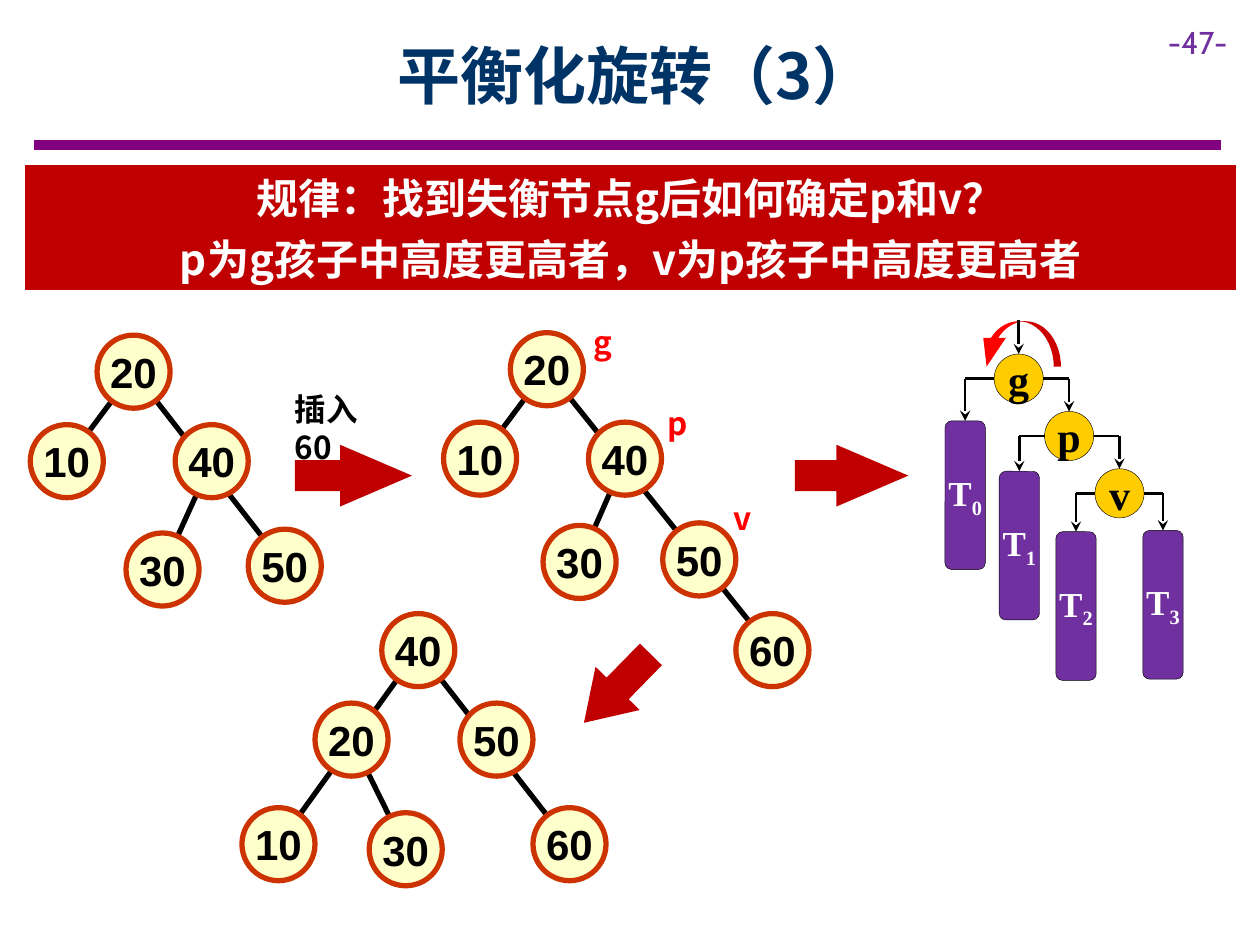
from lxml.etree import SubElement
from pptx import Presentation
from pptx.dml.color import RGBColor
from pptx.enum.shapes import MSO_CONNECTOR, MSO_SHAPE
from pptx.enum.text import MSO_ANCHOR, PP_ALIGN
from pptx.oxml.ns import qn
from pptx.util import Inches, Pt

BLACK = RGBColor(0x00, 0x00, 0x00)
WHITE = RGBColor(0xFF, 0xFF, 0xFF)
NAVY = RGBColor(0x00, 0x33, 0x66)
PURPLE = RGBColor(0x80, 0x00, 0x80)
VIOLET = RGBColor(0x70, 0x30, 0xA0)
CRIMSON = RGBColor(0xC0, 0x00, 0x00)
RED = RGBColor(0xFF, 0x00, 0x00)
CREAM = RGBColor(0xFF, 0xFF, 0xCC)
RUST = RGBColor(0xCC, 0x33, 0x00)
GOLD = RGBColor(0xFF, 0xCC, 0x00)

SANS = "Noto Sans CJK SC"
SERIF = "Times New Roman"
LINE_HEIGHT = 1.22
NODE = 0.58
ROTATED_NODE = 0.39


def add_run(paragraph, text, size, font, color, bold=True, baseline=None):
    run = paragraph.add_run()
    run.text = text
    run.font.size = Pt(size)
    run.font.name = font
    run.font.bold = bold
    run.font.color.rgb = color
    properties = run._r.get_or_add_rPr()
    SubElement(properties, qn("a:ea")).set("typeface", font)
    if baseline is not None:
        properties.set("baseline", str(baseline))


def set_insets(frame, horizontal, vertical):
    frame.margin_left = frame.margin_right = Inches(horizontal)
    frame.margin_top = frame.margin_bottom = Inches(vertical)


def add_block(slide, kind, box, fill, border=None, border_width=0, adjustments=()):
    block = slide.shapes.add_shape(kind, *map(Inches, box))
    block.shadow.inherit = False
    block.fill.solid()
    block.fill.fore_color.rgb = fill
    if border is None:
        block.line.fill.background()
    else:
        block.line.color.rgb = border
        block.line.width = Pt(border_width)
    for index, value in enumerate(adjustments):
        block.adjustments[index] = value
    return block


def add_line(slide, start, end, color=BLACK, width=3, arrow=False):
    line = slide.shapes.add_connector(
        MSO_CONNECTOR.STRAIGHT, *map(Inches, (*start, *end)))
    line.line.color.rgb = color
    line.line.width = Pt(width)
    if arrow:
        SubElement(line.line._get_or_add_ln(), qn("a:tailEnd")).set("type", "stealth")
    SubElement(line._element.spPr, qn("a:effectLst"))
    return line


def add_label(slide, box, text, color, wrap=False):
    label = slide.shapes.add_textbox(*map(Inches, box))
    frame = label.text_frame
    frame.word_wrap = wrap
    if wrap:
        frame.margin_right = Inches(0.25)
    paragraph = frame.paragraphs[0]
    paragraph.line_spacing = Pt(18 * LINE_HEIGHT)
    add_run(paragraph, text, 18, SANS, color)


def add_header(slide, box):
    left, top, width, height = box
    title = slide.shapes.title
    title.left, title.top = Inches(left + 0.63), Inches(top)
    title.width, title.height = Inches(8.31), Inches(1)
    title.text_frame.vertical_anchor = MSO_ANCHOR.MIDDLE
    paragraph = title.text_frame.paragraphs[0]
    paragraph.alignment = PP_ALIGN.CENTER
    add_run(paragraph, "平衡化旋转（3）", 36, SANS, NAVY)

    page = slide.shapes.add_textbox(
        Inches(left + 8.9), Inches(top + 0.04), Inches(0.83), Inches(0.4))
    add_run(page.text_frame.paragraphs[0], "-47-", 18, "Cabin", VIOLET, bold=False)
    rule_y = top + height
    add_line(slide, (left, rule_y), (left + width, rule_y), PURPLE, 6)


def add_banner(slide, box, lines):
    frame = add_block(slide, MSO_SHAPE.RECTANGLE, box, CRIMSON).text_frame
    frame.word_wrap = True
    frame.vertical_anchor = MSO_ANCHOR.TOP
    for index, text in enumerate(lines):
        paragraph = frame.add_paragraph() if index else frame.paragraphs[0]
        paragraph.alignment = PP_ALIGN.CENTER
        paragraph.line_spacing = Pt(24 * LINE_HEIGHT)
        paragraph.space_after = Pt(6)
        add_run(paragraph, text, 24, SANS, WHITE)


def add_tree(slide, origin, nodes, edges):
    """Draw a search tree; nodes maps each key to its offset from origin."""
    corners = {key: (origin[0] + x, origin[1] + y) for key, (x, y) in nodes.items()}
    centers = {key: (x + NODE / 2, y + NODE / 2) for key, (x, y) in corners.items()}
    for upper, lower in edges:
        add_line(slide, centers[upper], centers[lower])
    for key, corner in corners.items():
        node = add_block(slide, MSO_SHAPE.OVAL, (*corner, NODE, NODE), CREAM, RUST, 3)
        frame = node.text_frame
        frame.word_wrap = False
        frame.vertical_anchor = MSO_ANCHOR.MIDDLE
        set_insets(frame, 0, 0)
        frame.paragraphs[0].alignment = PP_ALIGN.CENTER
        add_run(frame.paragraphs[0], str(key), 24, "Arial", BLACK)


def add_rounded(slide, box, fill, adjustments=()):
    """Add a rounded box and return it with its paragraph."""
    block = add_block(slide, MSO_SHAPE.ROUNDED_RECTANGLE, box, fill, BLACK, 0.25,
                      adjustments)
    frame = block.text_frame
    frame.word_wrap = True
    frame.vertical_anchor = MSO_ANCHOR.MIDDLE
    set_insets(frame, 0, 0.1)
    frame.paragraphs[0].alignment = PP_ALIGN.CENTER
    return block, frame.paragraphs[0]


def add_branch(slide, parent, side, child):
    """Run sideways from the parent, then down to the top of the child."""
    start_x = parent.left + (parent.width if side == 3 else 0)
    points = [(start_x.inches if hasattr(start_x, "inches") else start_x / Inches(1)),
              (parent.top + parent.height / 2) / Inches(1),
              (child.left + child.width / 2) / Inches(1),
              child.top / Inches(1)]
    start_x, bend_y, bend_x, end_y = points
    across = add_line(slide, (start_x, bend_y), (bend_x, bend_y), width=1.5)
    across.begin_connect(parent, side)
    down = add_line(slide, (bend_x, bend_y), (bend_x, end_y), width=1.5, arrow=True)
    down.end_connect(child, 0)


def add_rotation(slide, origin):
    """Draw the g-p-v chain with its subtrees and the left-turn arrow."""
    left, top = origin
    chain = []
    for index, name in enumerate("gpv"):
        box = (left + 0.39 + 0.4 * index, top + 0.42 + 0.455 * index,
               ROTATED_NODE, ROTATED_NODE)
        node, paragraph = add_rounded(slide, box, GOLD, [0.5])
        add_run(paragraph, name, 24, SERIF, BLACK)
        chain.append(node)

    subtrees = []
    for index, (x, y) in enumerate([(0, 0.95), (0.43, 1.35), (0.88, 1.83), (1.57, 1.82)]):
        subtree, paragraph = add_rounded(slide, (left + x, top + y, 0.32, 1.18), VIOLET)
        add_run(paragraph, "T", 20, SERIF, WHITE)
        add_run(paragraph, str(index), 20, SERIF, WHITE, baseline=-25000)
        subtrees.append(subtree)

    right_children = chain[1:] + subtrees[3:]
    for node, left_child, right_child in zip(chain, subtrees, right_children):
        add_branch(slide, node, 1, left_child)
        add_branch(slide, node, 3, right_child)

    turn = add_block(slide, MSO_SHAPE.CURVED_LEFT_ARROW, (left + 0.4, top, 0.36, 0.68),
                     RED, adjustments=[0.16, 0.5, 0.633])
    turn.rotation = 270
    turn._element.spPr.xfrm.set("flipV", "1")
    entry = add_line(slide, (left + 0.585, top + 0.15), (left + 0.585, top + 0.42),
                     width=1.5, arrow=True)
    entry.end_connect(chain[0], 0)


def main():
    deck = Presentation()
    deck.slide_width, deck.slide_height = Inches(10), Inches(7.5)
    slide = deck.slides.add_slide(deck.slide_layouts[5])
    add_header(slide, (0.27, 0.09, 9.42, 1.06))
    add_banner(slide, (0.2, 1.31, 9.61, 0.99),
               ["规律：找到失衡节点g后如何确定p和v？",
                "p为g孩子中高度更高者，v为p孩子中高度更高者"])

    add_tree(slide, (0.24, 2.66),
             {20: (0.53, 0), 40: (1.15, 0.71), 30: (0.76, 1.57), 50: (1.73, 1.54),
              10: (0, 0.71)}, [(40, 30), (20, 10), (20, 50)])
    add_tree(slide, (3.52, 2.64),
             {20: (0.53, 0), 40: (1.15, 0.71), 30: (0.79, 1.53), 50: (1.74, 1.51),
              10: (0, 0.71), 60: (2.32, 2.23)}, [(40, 30), (20, 10), (20, 60)])
    add_tree(slide, (1.92, 4.87),
             {40: (1.11, 0), 50: (1.73, 0.71), 60: (2.31, 1.54), 20: (0.58, 0.71),
              10: (0, 1.54), 30: (1.01, 1.58)}, [(20, 30), (40, 10), (40, 60)])

    for box, point, angle in [((2.34, 3.53, 0.93, 0.49), 1.164, 0),
                              ((6.31, 3.53, 0.9, 0.49), 1.164, 0),
                              ((4.52, 5.22, 0.76, 0.49), 0.779, 134.4)]:
        step = add_block(slide, MSO_SHAPE.RIGHT_ARROW, box, CRIMSON,
                         adjustments=[0.5, point])
        step.rotation = angle
    add_label(slide, (2.24, 3.04, 1.02, 0.4), "插入60", BLACK, wrap=True)
    for name, x, y in [("g", 4.61, 2.51), ("p", 5.2, 3.15), ("v", 5.72, 3.91)]:
        add_label(slide, (x, y, 0.37, 0.4), name, RED)
    add_rotation(slide, (7.5, 2.39))
    deck.save("out.pptx")


if __name__ == "__main__":
    main()
